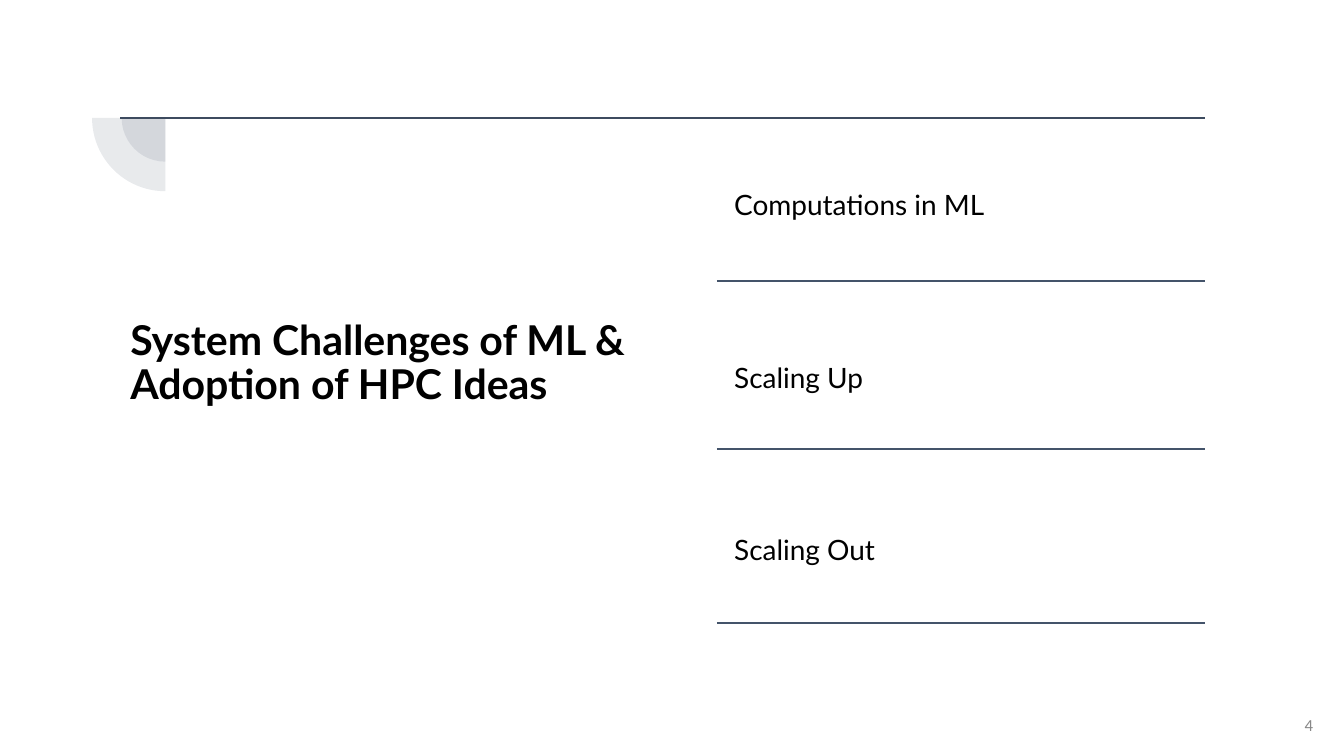
from lxml.etree import SubElement
from pptx import Presentation
from pptx.dml.color import RGBColor
from pptx.enum.shapes import MSO_CONNECTOR, MSO_SHAPE
from pptx.enum.text import MSO_ANCHOR as ANCHOR, MSO_AUTO_SIZE, PP_ALIGN as ALIGN
from pptx.oxml.ns import qn
from pptx.util import Pt

SLATE = "44546A"
TOP_RULE_Y = 63.2
RULE_LEFT, RULE_RIGHT = 384, 645.3
TOPIC_LEFT = 388.8
TOPICS = [  # text, top, bottom rule
    ("Computations in ML", 71.3, 150.5),
    ("Scaling Up", 166.3, 240.5),
    ("Scaling Out", 256.3, 334),
]
TITLE_FONT = dict(name="Lato", size=Pt(22), bold=True)
TOPIC_FONT = dict(name="Lato", size=Pt(15), bold=False)
NUMBER_FONT = dict(name="Calibri", size=Pt(9), bold=False)


def rgb(color):
    return RGBColor.from_string(color)


def set_text(sp, text, font, color="000000", inset=5, anchor=ANCHOR.MIDDLE,
             align=ALIGN.LEFT, spacing=0.9):
    tf = sp.text_frame
    frame = dict(word_wrap=True, auto_size=MSO_AUTO_SIZE.NONE, vertical_anchor=anchor)
    for side in ("left", "top", "right", "bottom"):
        frame[f"margin_{side}"] = Pt(inset)
    for key, value in frame.items():
        setattr(tf, key, value)
    p = tf.paragraphs[0]
    p.alignment, p.line_spacing = align, spacing
    r = p.add_run()
    r.text = text
    for key, value in font.items():
        setattr(r.font, key, value)
    r.font.color.rgb = rgb(color)


def add_text(s, box, text, font, **options):
    set_text(s.shapes.add_textbox(*map(Pt, box)), text, font, **options)


def add_title(s, box, text):
    sp = s.shapes.title
    sp.left, sp.top, sp.width, sp.height = map(Pt, box)
    set_text(sp, text, TITLE_FONT, anchor=ANCHOR.TOP)


def add_rule(s, left, right, y, color=SLATE, width=1):
    line = s.shapes.add_connector(MSO_CONNECTOR.STRAIGHT, *map(Pt, (left, y, right, y)))
    line.line.color.rgb = rgb(color)
    line.line.width = Pt(width)
    SubElement(line._element.spPr, qn("a:effectLst"))


def add_quarter(s, cx, cy, size):
    """Translucent lower-left quarter of a disc centred on (cx, cy)."""
    sp = s.shapes.add_shape(MSO_SHAPE.PIE, Pt(cx - size / 2), Pt(cy - size / 2),
                            Pt(size), Pt(size))
    sp.shadow.inherit = False
    sp.rotation = 270
    sp.adjustments[0], sp.adjustments[1] = 108, 162
    sp.fill.solid()
    sp.fill.fore_color.rgb = rgb(SLATE)
    color = sp._element.spPr.find(qn("a:solidFill"))[0]
    SubElement(color, qn("a:alpha"), val="12000")
    sp.line.fill.background()


def main():
    prs = Presentation()
    prs.slide_width, prs.slide_height = Pt(720), Pt(405)
    s = prs.slides.add_slide(prs.slide_layouts[5])

    for size in (46.8, 78.5):
        add_quarter(s, 88.6, TOP_RULE_Y, size)
    add_rule(s, 64.4, 645.8, TOP_RULE_Y, "3D4B5F", 0.75)
    add_title(s, (64.8, 166.3, 319.7, 109.4),
              "System Challenges of ML & Adoption of HPC Ideas")
    for text, top, bottom in TOPICS:
        add_text(s, (TOPIC_LEFT, top, RULE_RIGHT - TOPIC_LEFT, bottom - top),
                 text, TOPIC_FONT, inset=4.5)
        add_rule(s, RULE_LEFT, RULE_RIGHT, bottom)
    add_text(s, (665.3, 373, 43.2, 31), "4", NUMBER_FONT, color="888888",
             align=ALIGN.RIGHT, spacing=1.0)

    prs.save("out.pptx")


if __name__ == "__main__":
    main()
